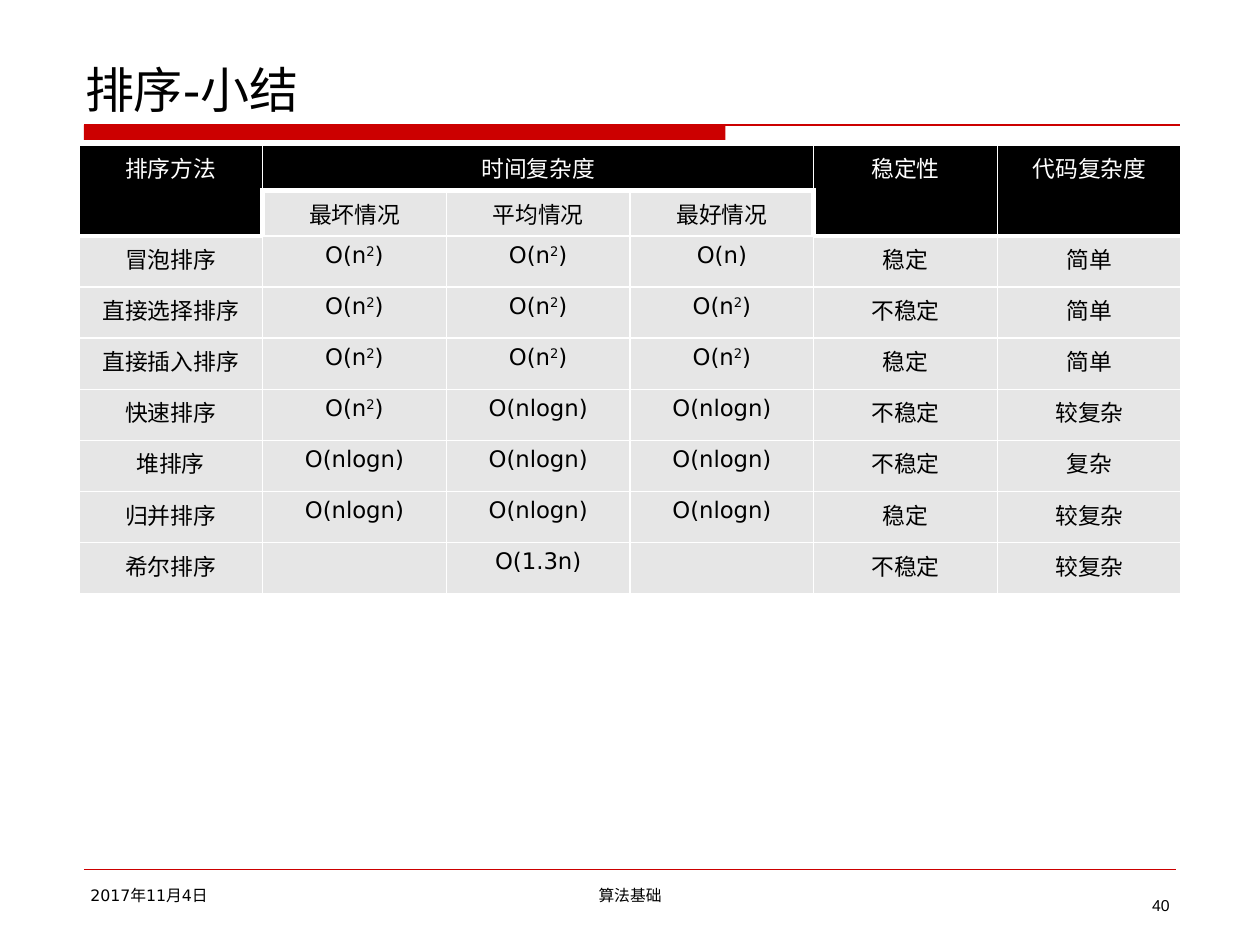
import itertools

import lxml.etree
import pptx
import pptx.dml.color
import pptx.enum.shapes
import pptx.enum.text
import pptx.oxml.ns
import pptx.util

Pt = pptx.util.Pt
ALIGN = pptx.enum.text.PP_ALIGN
qn = pptx.oxml.ns.qn

COLORS = {"accent": "CC0000", "ink": "000000", "paper": "FFFFFF", "cell": "E6E6E6"}
FONTS = {"latin": "DejaVu Sans", "super": "DejaVu Sans", "cjk": "Noto Sans CJK SC"}
INSET = 3.6
HEADER_ROWS = [
    ["排序方法", "时间复杂度", "", "", "稳定性", "代码复杂度"],
    ["", "最坏情况", "平均情况", "最好情况", "", ""],
]
DATA_ROWS = [
    ["冒泡排序", "O(n²)", "O(n²)", "O(n)", "稳定", "简单"],
    ["直接选择排序", "O(n²)", "O(n²)", "O(n²)", "不稳定", "简单"],
    ["直接插入排序", "O(n²)", "O(n²)", "O(n²)", "稳定", "简单"],
    ["快速排序", "O(n²)", "O(nlogn)", "O(nlogn)", "不稳定", "较复杂"],
    ["堆排序", "O(nlogn)", "O(nlogn)", "O(nlogn)", "不稳定", "复杂"],
    ["归并排序", "O(nlogn)", "O(nlogn)", "O(nlogn)", "稳定", "较复杂"],
    ["希尔排序", "", "O(1.3n)", "", "不稳定", "较复杂"],
]


def rgb(name):
    return pptx.dml.color.RGBColor.from_string(COLORS[name])


def apply_format(target, values):
    for name, value in values.items():
        setattr(target, name, value)


def script_kind(char):
    if char == "²":
        return "super"
    return "latin" if char.isascii() else "cjk"


def write_text(para, text, size, color="ink", align=ALIGN.LEFT, latin=None):
    """Write one paragraph, with a run for each stretch of one script."""
    para.alignment = align
    for kind, chars in itertools.groupby(text, script_kind):
        span = para.add_run()
        span.text = "".join(chars).replace("²", "2")
        face = latin if latin and kind == "latin" else FONTS[kind]
        apply_format(span.font, {"size": Pt(size), "name": face})
        span.font.color.rgb = rgb(color)
        properties = span._r.get_or_add_rPr()
        lxml.etree.SubElement(properties, qn("a:ea")).set("typeface", face)
        if kind == "super":
            properties.set("baseline", "30000")


def set_frame(frame, **values):
    margins = {f"margin_{side}": Pt(INSET) for side in ("left", "top", "right", "bottom")}
    apply_format(frame, {"word_wrap": True, **margins, **values})


def add_rule(slide, left, top, width, weight):
    rule = slide.shapes.add_connector(
        pptx.enum.shapes.MSO_CONNECTOR.STRAIGHT, Pt(left), Pt(top), Pt(left + width), Pt(top))
    rule.line.color.rgb = rgb("accent")
    rule.line.width = Pt(weight)
    lxml.etree.SubElement(rule._element.spPr, qn("a:effectLst"))


def add_title(slide, left, top, width, height):
    title = slide.shapes.title
    apply_format(title, {"left": Pt(left), "top": Pt(top), "width": Pt(width), "height": Pt(height)})
    set_frame(title.text_frame, vertical_anchor=pptx.enum.text.MSO_ANCHOR.BOTTOM,
              auto_size=pptx.enum.text.MSO_AUTO_SIZE.NONE)
    write_text(title.text_frame.paragraphs[0], "排序-小结", 28)


def add_title_band(slide, left, top, width, height):
    bar = slide.shapes.add_shape(
        pptx.enum.shapes.MSO_SHAPE.RECTANGLE, Pt(left), Pt(top), Pt(width * 0.585), Pt(height))
    bar.shadow.inherit = False
    bar.fill.solid()
    bar.fill.fore_color.rgb = rgb("accent")
    bar.line.fill.background()
    add_rule(slide, left, top, width, 0.75)


def is_dark(row, col):
    """Header cells are dark, except the three sub-headings."""
    return row <= 0 or (row == 1 and not 1 <= col <= 3)


def set_borders(cell, row, col):
    dark = is_dark(row, col)
    neighbours = {"L": (row, max(col - 1, 0)), "R": (row, min(col + 1, 5)),
                  "T": (row - 1, col), "B": (row + 1, col)}
    properties = cell._tc.get_or_add_tcPr()
    for index, (edge, neighbour) in enumerate(neighbours.items()):
        heavy = dark != is_dark(*neighbour) or (dark and edge == "B")
        line = lxml.etree.Element(qn(f"a:ln{edge}"), w=str(Pt(3 if heavy else 1)))
        fill = lxml.etree.SubElement(line, qn("a:solidFill"))
        lxml.etree.SubElement(fill, qn("a:srgbClr")).set("val", COLORS["paper"])
        properties.insert(index, line)


def add_comparison_table(slide, left, top, width, height):
    rows = HEADER_ROWS + DATA_ROWS
    columns = len(rows[0])
    header_height = 14.4
    data_height = (height - len(HEADER_ROWS) * header_height) / len(DATA_ROWS)
    table = slide.shapes.add_table(
        len(rows), columns, Pt(left), Pt(top), Pt(width), Pt(height)).table
    apply_format(table, {"first_row": False, "horz_banding": False})
    for column in table.columns:
        column.width = Pt(width / columns)
    for row, texts in enumerate(rows):
        table.rows[row].height = Pt(header_height if row < len(HEADER_ROWS) else data_height)
        for col, text in enumerate(texts):
            cell = table.cell(row, col)
            dark = is_dark(row, col)
            apply_format(cell, {f"margin_{side}": Pt(INSET)
                                for side in ("left", "top", "right", "bottom")})
            cell.fill.solid()
            cell.fill.fore_color.rgb = rgb("ink" if dark else "cell")
            set_borders(cell, row, col)
            write_text(cell.text_frame.paragraphs[0], text, 13,
                       "paper" if dark else "ink", ALIGN.CENTER)
    # Header spans
    table.cell(0, 1).merge(table.cell(0, 3))
    for col in (0, 4, 5):
        table.cell(0, col).merge(table.cell(1, col))


def add_footer(slide, left, top, width):
    add_rule(slide, left, top, width, 0.25)
    entries = [
        ("2017年11月4日", left, 5.8, 156, 20.2, ALIGN.LEFT, None, True),
        ("算法基础", left + 198, 5.8, 228, 20.2, ALIGN.CENTER, None, True),
        ("40", left + width - 19.4, 11.5, 19.4, 18, ALIGN.RIGHT, "Arial", False),
    ]
    for text, start, drop, box_width, box_height, align, latin, wrap in entries:
        box = slide.shapes.add_textbox(
            Pt(start), Pt(top + drop), Pt(box_width), Pt(box_height))
        set_frame(box.text_frame, word_wrap=wrap,
                  auto_size=pptx.enum.text.MSO_AUTO_SIZE.SHAPE_TO_FIT_TEXT)
        write_text(box.text_frame.paragraphs[0], text, 9, align=align, latin=latin)


def main():
    deck = pptx.Presentation()
    apply_format(deck, {"slide_width": Pt(720), "slide_height": Pt(540)})
    slide = deck.slides.add_slide(deck.slide_layouts[5])
    add_title_band(slide, 48, 71.4, 626.5, 8.6)
    add_comparison_table(slide, 45, 83, 630, 233.2)
    add_footer(slide, 48, 496.8, 624)
    add_title(slide, 45, 24, 630, 47.4)
    deck.save("out.pptx")


if __name__ == "__main__":
    main()
